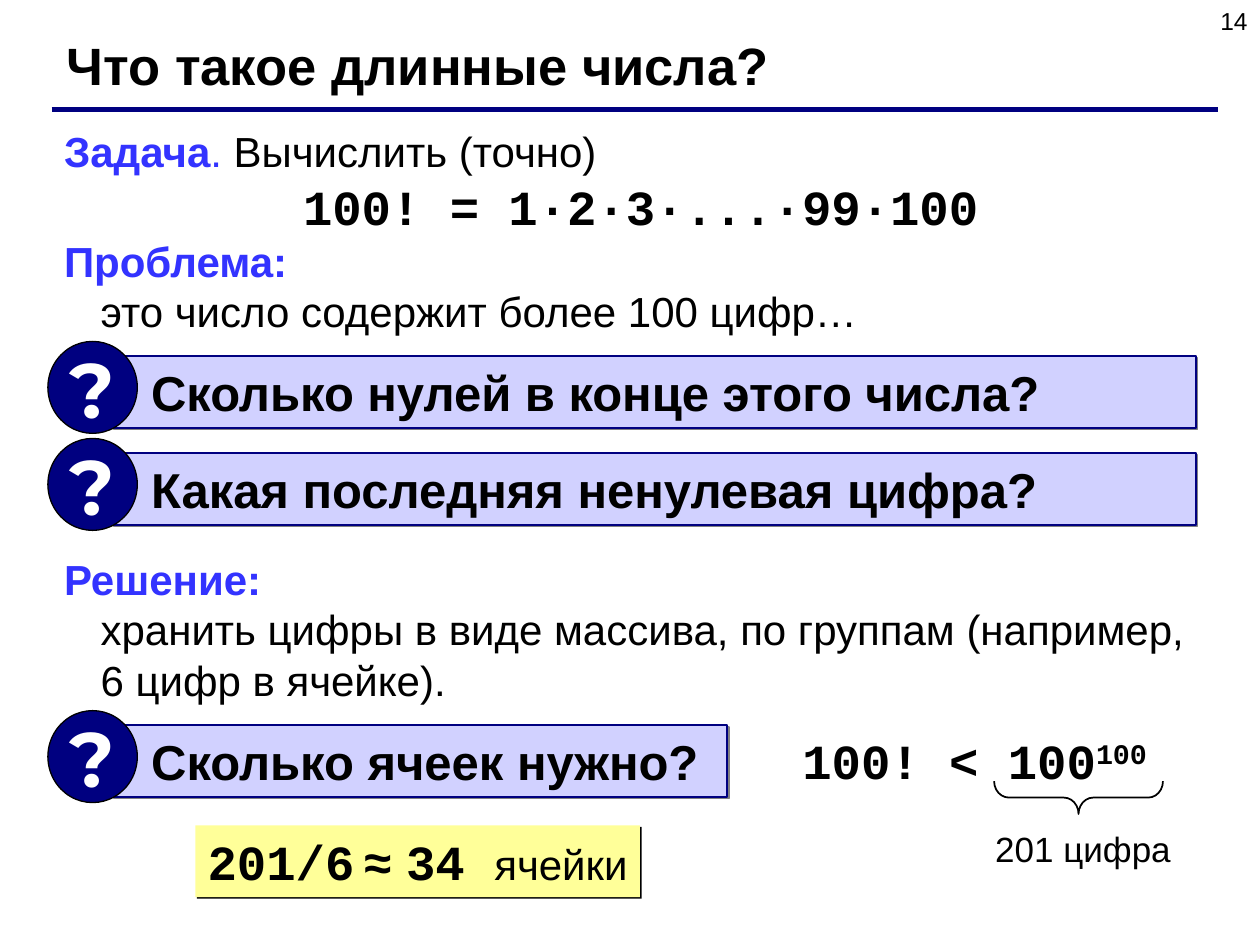
from lxml.etree import SubElement
from pptx import Presentation
from pptx.dml.color import RGBColor
from pptx.enum.shapes import MSO_CONNECTOR, MSO_SHAPE
from pptx.enum.text import MSO_ANCHOR, PP_ALIGN
from pptx.oxml.ns import qn
from pptx.util import Inches, Pt

WIDTH, HEIGHT = Inches(10), Inches(7.5)
COLUMNS, ROWS = 100, 75
BLACK = RGBColor(0x00, 0x00, 0x00)
WHITE = RGBColor(0xFF, 0xFF, 0xFF)
NAVY = RGBColor(0x00, 0x00, 0x80)
BLUE = RGBColor(0x33, 0x33, 0xFF)
LAVENDER = RGBColor(0xD1, 0xD1, 0xFF)
YELLOW = RGBColor(0xFF, 0xFF, 0x99)
GRAY = RGBColor(0x80, 0x80, 0x80)
SANS, MONO, ROUND = "Arial", "Courier New", "Montserrat"
LINE_FACTOR = 1.2


def cells(column, row, columns, rows):
    """Turn grid columns and rows into a left, top, width, height box."""
    across, down = WIDTH / COLUMNS, HEIGHT / ROWS
    return (round(column * across), round(row * down),
            round(columns * across), round(rows * down))


def run(text, size, font=SANS, color=BLACK, bold=False, raised=False):
    """Describe one run of text."""
    return text, size, font, color, bold, raised


def write(paragraph, runs, align=PP_ALIGN.LEFT):
    """Fill a paragraph run by run, with breaks at newlines."""
    paragraph.alignment = align
    paragraph.line_spacing = Pt(LINE_FACTOR * max(item[1] for item in runs))
    for text, size, font, color, bold, raised in runs:
        piece = paragraph.add_run()
        piece.text = text.rstrip("\n")
        piece.font.size, piece.font.name = Pt(size), font
        piece.font.bold, piece.font.color.rgb = bold, color
        if raised:
            piece.font._element.set("baseline", "30000")
        if text.endswith("\n"):
            paragraph.add_line_break()


def add_text(slide, box, runs, align=PP_ALIGN.LEFT):
    """Add a text box with one paragraph and return its frame."""
    frame = slide.shapes.add_textbox(*cells(*box)).text_frame
    frame.word_wrap = True
    write(frame.paragraphs[0], runs, align)
    return frame


def add_shadow(shape, color):
    """Give a shape a hard shadow towards the lower right."""
    properties = shape._element.spPr
    for old in properties.findall(qn("a:effectLst")):
        properties.remove(old)
    effects = SubElement(properties, qn("a:effectLst"))
    shadow = SubElement(effects, qn("a:outerShdw"), dist=str(Pt(1.4)),
                        dir="2700000", algn="ctr", rotWithShape="0")
    SubElement(shadow, qn("a:srgbClr"), val=str(color))


def add_shape(slide, kind, box, fill=None, line=None, weight=1):
    """Add a preset shape with plain fill and line."""
    shape = slide.shapes.add_shape(kind, *cells(*box))
    shape.shadow.inherit = False
    if fill is None:
        shape.fill.background()
    else:
        shape.fill.solid()
        shape.fill.fore_color.rgb = fill
    if line is None:
        shape.line.fill.background()
    else:
        shape.line.color.rgb = line
        shape.line.width = Pt(weight)
    return shape


def add_title(slide, text):
    """Place the title and the rule below it."""
    title = slide.shapes.title
    title.left, title.top, title.width, title.height = cells(4.3, 2.1, 89, 6)
    title.text_frame.vertical_anchor = MSO_ANCHOR.TOP
    write(title.text_frame.paragraphs[0], [run(text, 30, bold=True)])
    left, top, width, _ = cells(4.1, 8.7, 92.6, 0)
    rule = slide.shapes.add_connector(MSO_CONNECTOR.STRAIGHT, left, top, left + width, top)
    rule.line.color.rgb, rule.line.width = NAVY, Pt(3)
    SubElement(rule._element.spPr, qn("a:effectLst"))


def add_body(slide):
    """Write the task, the problem and the solution."""
    frame = add_text(slide, (4.1, 9.5, 93.5, 46.9), [
        run("Задача", 24, color=BLUE, bold=True), run(".", 24, color=BLUE),
        run(" Вычислить (точно)", 24)])
    write(frame.add_paragraph(), [run("100! = 1·2·3·...·99·100", 28, MONO, bold=True)],
          PP_ALIGN.CENTER)
    sections = [("Проблема:\n", "это число содержит более 100 цифр…"),
                ("Решение:\n", "хранить цифры в виде массива, по группам (например, 6 цифр в ячейке).")]
    for heading, text in sections:
        write(frame.add_paragraph(),
              [run(heading, 24, color=BLUE, bold=True), run(text, 24)])
    for paragraph in frame.paragraphs:
        properties = paragraph._p.get_or_add_pPr()
        properties.set("marL", str(Inches(0.29)))
        properties.set("indent", str(-Inches(0.29)))
    frame.paragraphs[-1].space_before = Pt(124.2)


def add_question(slide, row, columns, text):
    """Add a question bar with its round badge."""
    bar = add_shape(slide, MSO_SHAPE.RECTANGLE, (8.9, row, columns, 5.7), LAVENDER, NAVY)
    add_shadow(bar, GRAY)
    frame = bar.text_frame
    frame.vertical_anchor = MSO_ANCHOR.TOP
    frame.margin_left = Inches(0.31)
    write(frame.paragraphs[0], [run(text, 28, bold=True)])
    badge = add_shape(slide, MSO_SHAPE.OVAL, (3.8, row - 1.15, 7.1, 7.3), NAVY, BLACK, 0.75)
    badge.text_frame.word_wrap = False
    badge.text_frame.vertical_anchor = MSO_ANCHOR.MIDDLE
    write(badge.text_frame.paragraphs[0], [run("?", 44, ROUND, WHITE, True)],
          PP_ALIGN.CENTER)


def add_estimate(slide):
    """Add the upper bound with its brace and digit count."""
    add_text(slide, (62.7, 57.5, 32, 5.7), [
        run("100! < 100", 28, MONO, bold=True),
        run("100", 28, MONO, bold=True, raised=True)])
    brace = add_shape(slide, MSO_SHAPE.LEFT_BRACE, (84.3, 56.6, 2.6, 13.4), line=BLACK)
    brace.rotation = 270
    brace.adjustments[0] = 0.45
    add_text(slide, (78, 65.2, 18, 4.4), [run("201 цифра", 20)])


def add_answer(slide):
    """Add the yellow answer box."""
    box = add_shape(slide, MSO_SHAPE.RECTANGLE, (15.5, 65.5, 35.3, 5.7), YELLOW)
    add_shadow(box, BLACK)
    frame = box.text_frame
    frame.word_wrap = True
    frame.margin_right = 0
    frame.vertical_anchor = MSO_ANCHOR.TOP
    write(frame.paragraphs[0], [
        run("201/6", 28, MONO, bold=True), run(" ", 18, bold=True),
        run("≈", 28, MONO, bold=True), run(" ", 28, bold=True),
        run("34 ", 28, MONO, bold=True), run("ячейки", 24)])


def main():
    """Build and save the slide."""
    presentation = Presentation()
    presentation.slide_width, presentation.slide_height = WIDTH, HEIGHT
    slide = presentation.slides.add_slide(presentation.slide_layouts[5])
    add_text(slide, (76.7, 0, 23.3, 5.2), [run("14", 14)], PP_ALIGN.RIGHT)
    add_title(slide, "Что такое длинные числа?")
    add_body(slide)
    questions = [(28.25, 86, "Сколько нулей в конце этого числа?"),
                 (35.95, 86, "Какая последняя ненулевая цифра?"),
                 (57.55, 48.8, "Сколько ячеек нужно?")]
    for row, columns, text in questions:
        add_question(slide, row, columns, text)
    add_estimate(slide)
    add_answer(slide)
    presentation.save("out.pptx")


if __name__ == "__main__":
    main()
